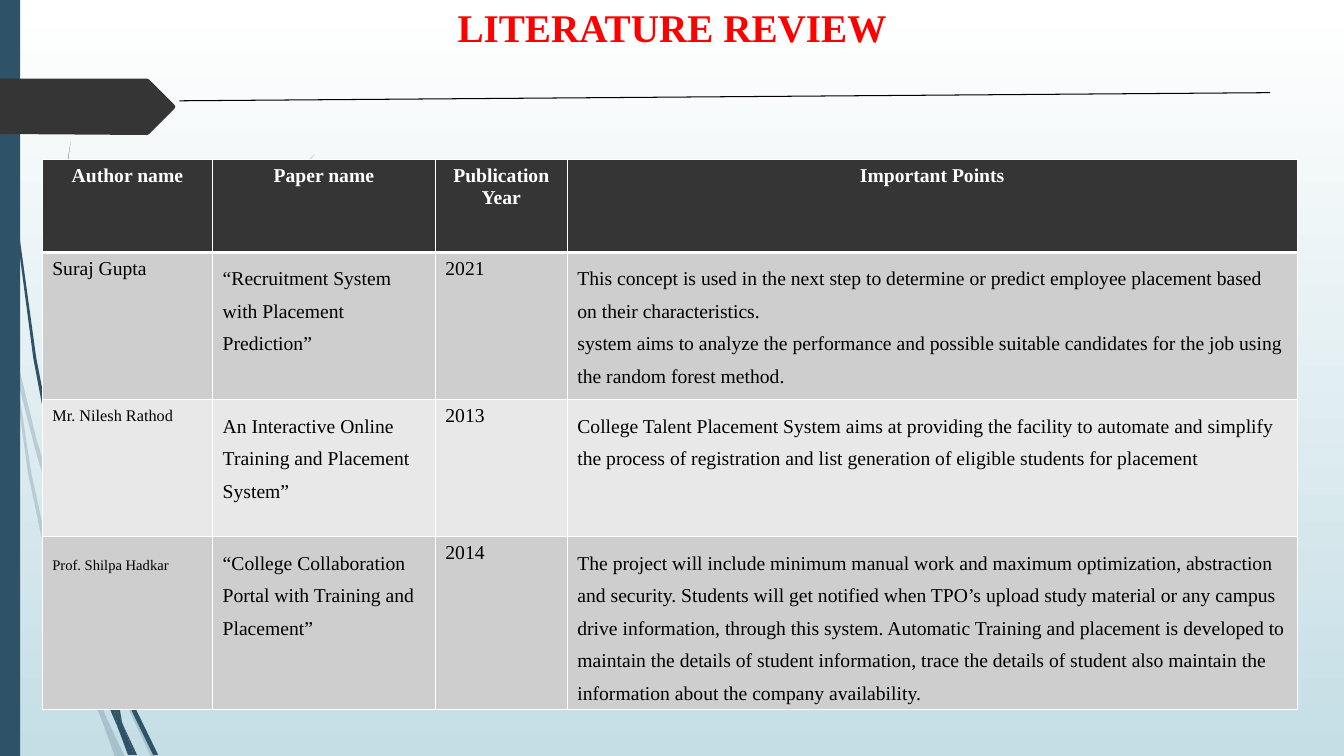
from lxml.etree import SubElement
from pptx import Presentation
from pptx.dml.color import RGBColor as RGB
from pptx.enum.shapes import MSO_CONNECTOR as CONN, MSO_SHAPE as SHAPE
from pptx.enum.text import MSO_ANCHOR as ANCHOR, PP_ALIGN as ALIGN
from pptx.oxml.ns import qn
from pptx.util import Pt

# Content
TITLE = "LITERATURE REVIEW"
HEADERS = ["Author name", "Paper name", "Publication Year", "Important Points"]
PAPERS = [
    ("Suraj Gupta", "“Recruitment System with Placement Prediction”", "2021",
     ["This concept is used in the next step to determine or predict employee "
      "placement based on their characteristics.",
      "system aims to analyze the performance and possible suitable candidates "
      "for the job using the random forest method."]),
    ("Mr. Nilesh Rathod", "An Interactive Online Training and Placement System”", "2013",
     ["College Talent Placement System aims at providing the facility to automate and "
      "simplify the process of registration and list generation of eligible students "
      "for placement"]),
    ("Prof. Shilpa Hadkar",
     "“College Collaboration Portal with Training and Placement”", "2014",
     ["The project will include minimum manual work and maximum optimization, "
      "abstraction and security. Students will get notified when TPO’s upload study "
      "material or any campus drive information, through this system. Automatic "
      "Training and placement is developed to maintain the details of student "
      "information, trace the details of student also maintain the information about "
      "the company availability."]),
]
AUTHOR_FORMATS = [{}, {"size": 20, "baseline": 30}, {"size": 18, "baseline": 30, "spacing": 1.5}]
COLORS = {"sky": "FFFFFF", "mist": "C5DEE5", "stem": "2E5369", "dark": "353535",
          "title": "FF0000", "text": "000000", "light": "FFFFFF",
          "odd": "CECECE", "even": "E8E8E8"}
FONT = "Times New Roman"
COL_WIDTHS = [121.7, 159.1, 94.3, 521.3]
ROW_HEIGHTS = [66.2, 105.1, 97.9, 108.7]

# Outlines, in units of 0.72 pt
UNIT = Pt(0.72)
PALE_STEMS = [
    [(11, 350), (9, 322), (0, 282), (0, 299), (10, 344)],
    [(58, 522), (84, 599), (85, 586), (62, 520), (36, 435), (14, 345), (17, 376), (36, 450)],
    [(92, 607), (88, 596), (88, 610), (123, 694), (150, 751), (155, 751), (127, 692)],
    [(119, 751), (124, 751), (105, 711)],
    [(93, 683), (70, 619), (48, 546), (31, 469), (17, 376), (11, 350), (28, 470),
     (44, 546), (65, 621), (92, 693), (101, 714), (99, 707)],
    [(84, 599), (87, 646), (93, 683), (96, 692), (105, 711), (103, 706), (91, 646),
     (88, 610), (88, 608)],
    [(88, 584), (92, 522), (110, 462), (132, 405), (160, 349), (193, 296), (229, 245),
     (268, 198), (290, 175), (312, 154), (312, 153), (289, 175), (268, 197), (228, 244),
     (191, 294), (158, 348), (130, 402), (107, 461), (90, 521), (85, 584), (85, 586),
     (88, 596)],
    [(101, 714), (114, 751), (119, 751)],
    [(88, 608), (88, 610), (88, 596), (85, 586), (84, 599)],
    [(96, 692), (93, 683), (99, 707), (101, 714), (119, 751), (105, 711)],
]
DEEP_STEMS = [
    [(7, 110), (17, 233), (33, 355), (56, 477), (57, 481), (55, 457), (55, 453), (36, 355),
     (19, 232), (8, 109), (5, 48), (4, 0), (3, 0), (4, 48)],
    [(88, 592), (106, 645), (106, 631), (93, 590), (75, 532), (60, 472), (64, 505), (75, 549)],
    [(113, 649), (110, 641), (111, 656), (132, 708), (152, 749), (157, 749), (136, 706)],
    [(110, 691), (98, 657), (84, 607), (72, 556), (64, 505), (57, 477), (68, 557), (79, 608),
     (93, 659), (111, 708), (117, 722), (116, 717)],
    [(60, 472), (58, 453), (54, 349), (58, 245), (63, 193), (70, 141), (62, 193), (56, 245),
     (52, 349), (55, 449)],
    [(133, 749), (136, 749), (122, 719)],
    [(57, 477), (64, 505), (60, 472), (55, 449), (55, 453)],
    [(111, 633), (115, 592), (125, 552), (139, 513), (158, 476), (180, 440), (205, 406),
     (231, 374), (245, 359), (261, 344), (260, 344), (245, 358), (231, 373), (204, 405),
     (178, 439), (156, 474), (137, 512), (122, 551), (110, 591), (106, 631), (110, 641)],
    [(117, 722), (127, 749), (131, 749)],
    [(106, 645), (110, 691), (116, 706), (122, 719), (121, 716), (111, 656), (109, 651)],
    [(106, 645), (109, 651), (111, 656), (110, 641), (106, 631)],
    [(116, 706), (110, 691), (116, 717), (117, 722), (130, 749), (133, 749), (122, 719)],
]
ARROW_TAG = [(0, 78), (146, 78), (148, 79), (173, 104), (174, 106), (173, 108),
             (148, 133), (146, 134), (0, 133)]


def color(name):
    return RGB.from_string(COLORS[name])


def write(tf, text, size=14, fill="text", bold=False, align=None, spacing=None, baseline=None):
    """Fill a text frame; a list of strings gives one paragraph each."""
    for i, line in enumerate([text] if isinstance(text, str) else text):
        p = tf.paragraphs[0] if i == 0 else tf.add_paragraph()
        p.alignment = align
        p.line_spacing = spacing
        r = p.add_run()
        r.text = line
        r.font.name, r.font.size, r.font.bold = FONT, Pt(size), bold
        r.font.color.rgb = color(fill)
        if baseline:
            r._r.get_or_add_rPr().set("baseline", str(baseline * 1000))


def paint(sp, name, alpha=None):
    sp.shadow.inherit = False
    sp.fill.solid()
    sp.fill.fore_color.rgb = color(name)
    sp.line.fill.background()
    if alpha:
        clr = sp._element.spPr.find(qn("a:solidFill"))[0]
        SubElement(clr, qn("a:alpha")).set("val", str(alpha * 1000))


def outline(shapes, points, name, alpha=None):
    fb = shapes.build_freeform(*points[0], scale=UNIT)
    fb.add_line_segments(points[1:], close=True)
    paint(fb.convert_to_shape(), name, alpha)


def border(cell, top=1, bottom=1):
    tcPr = cell._tc.get_or_add_tcPr()
    edges = [("a:lnL", 1), ("a:lnR", 1), ("a:lnT", top), ("a:lnB", bottom)]
    for i, (tag, width) in enumerate(edges):
        ln = SubElement(tcPr, qn(tag), w=str(Pt(width)))
        fill = SubElement(ln, qn("a:solidFill"))
        SubElement(fill, qn("a:srgbClr"), val=COLORS["light"])
        tcPr.insert(i, ln)


prs = Presentation()
prs.slide_width, prs.slide_height = Pt(960), Pt(540)
s = prs.slides.add_slide(prs.slide_layouts[5])

# Background
bg = s.background.fill
bg.gradient()
bg.gradient_angle = 270
for stop, name in zip(bg.gradient_stops, ("sky", "mist")):
    stop.color.rgb = color(name)

# Stems, side bar and arrow tag
for stems, alpha in ((PALE_STEMS, 20), (DEEP_STEMS, None)):
    group = s.shapes.add_group_shape()
    for points in stems:
        outline(group.shapes, points, "stem", alpha)
paint(s.shapes.add_shape(SHAPE.RECTANGLE, 0, 0, Pt(14.4), Pt(540)), "stem")
outline(s.shapes, ARROW_TAG, "dark")

# Title
title = s.shapes.title
title.left, title.top, title.width, title.height = Pt(66), Pt(-1.4), Pt(828), Pt(81.4)
title.text_frame.vertical_anchor = ANCHOR.TOP
write(title.text_frame, TITLE, size=28, fill="title", bold=True, align=ALIGN.CENTER)

# Table
frame = s.shapes.add_table(len(PAPERS) + 1, len(HEADERS), Pt(30.2), Pt(114.2),
                           Pt(sum(COL_WIDTHS)), Pt(sum(ROW_HEIGHTS)))
table = frame.table
table.horz_banding = False
for col, width in zip(table.columns, COL_WIDTHS):
    col.width = Pt(width)
for row, height in zip(table.rows, ROW_HEIGHTS):
    row.height = Pt(height)
for i, texts in enumerate([HEADERS] + PAPERS):
    for j, text in enumerate(texts):
        cell = table.cell(i, j)
        if i == 0:
            fmt = {"fill": "light", "bold": True, "align": ALIGN.CENTER}
        elif j == 0:
            fmt = AUTHOR_FORMATS[i - 1]
        else:
            fmt = {"spacing": None if j == 2 else 1.5}
        write(cell.text_frame, text, **fmt)
        cell.fill.solid()
        cell.fill.fore_color.rgb = color("dark" if i == 0 else "odd" if i % 2 else "even")
        border(cell, top=3 if i == 1 else 1, bottom=3 if i == 0 else 1)

# Rule under the title
rule = s.shapes.add_connector(CONN.STRAIGHT, Pt(128.2), Pt(72), Pt(907.2), Pt(66.2))
rule.line.color.rgb = color("text")
rule.line.width = Pt(0.75)
SubElement(rule._element.spPr, qn("a:effectLst"))

prs.save("out.pptx")
